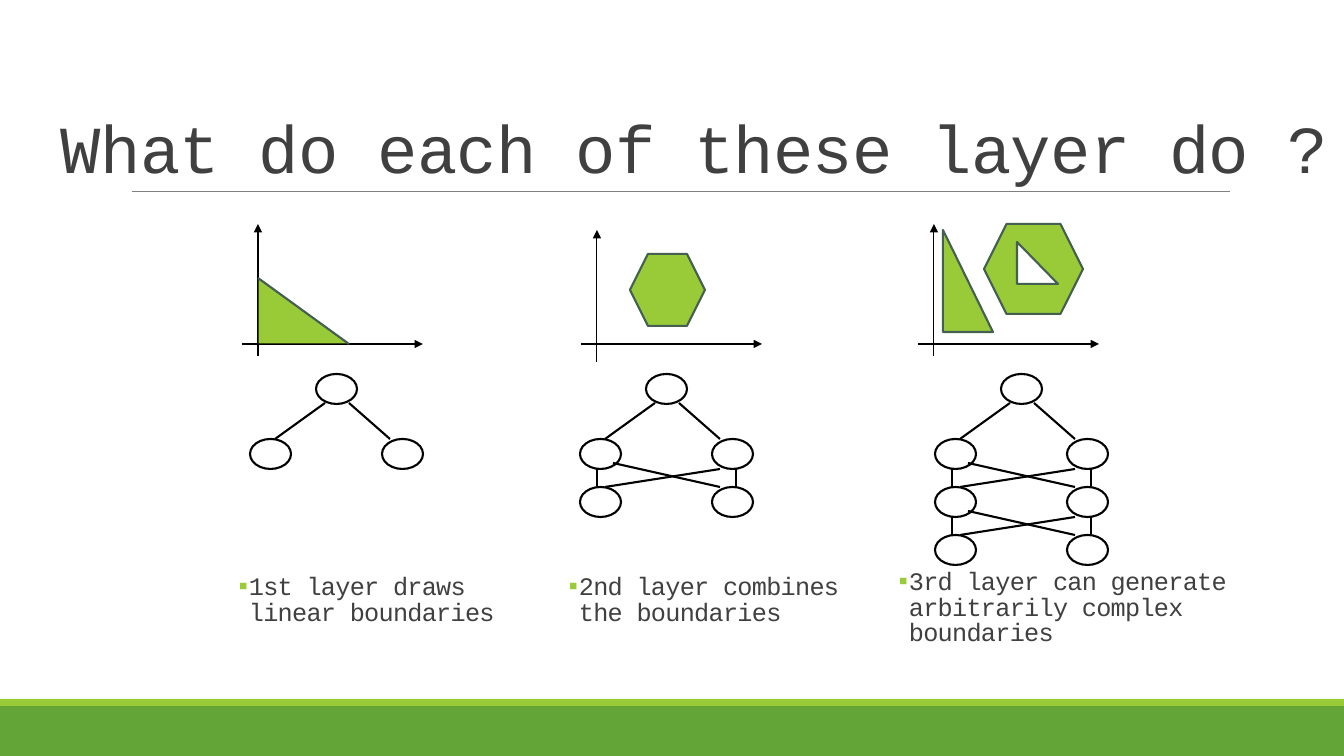
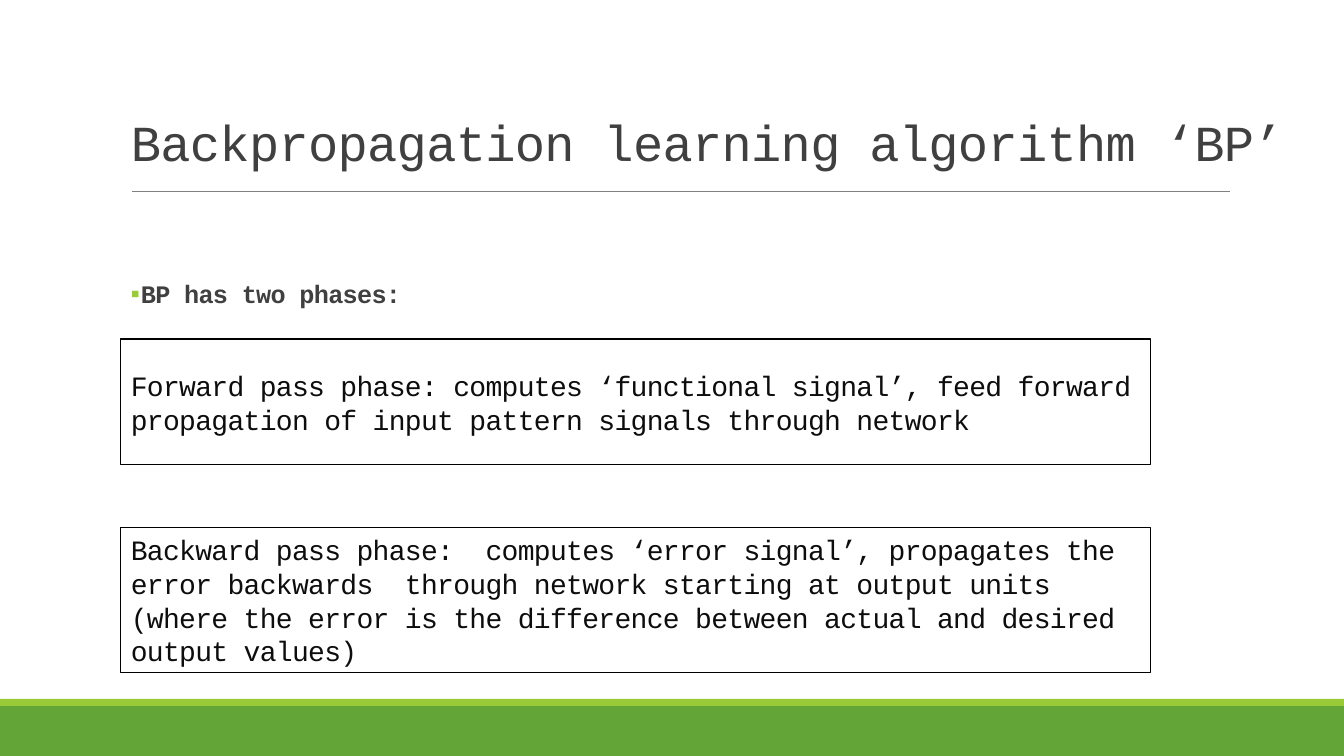
from lxml import etree
from pptx import Presentation
from pptx.dml.color import RGBColor
from pptx.enum.shapes import MSO_CONNECTOR, MSO_SHAPE
from pptx.enum.text import MSO_ANCHOR, PP_ALIGN
from pptx.oxml.ns import qn
from pptx.util import Emu, Inches, Pt

RECT, OVAL = MSO_SHAPE.RECTANGLE, MSO_SHAPE.OVAL
HEXAGON, TRIANGLE = MSO_SHAPE.HEXAGON, MSO_SHAPE.RIGHT_TRIANGLE
STRAIGHT = MSO_CONNECTOR.STRAIGHT
TOP, MIDDLE, BOTTOM = MSO_ANCHOR.TOP, MSO_ANCHOR.MIDDLE, MSO_ANCHOR.BOTTOM
LEFT = PP_ALIGN.LEFT

SLIDE_W, SLIDE_H = 1344, 756
SCALE = Inches(7.5) / SLIDE_H
FONT, BULLET_FONT = "Courier New", "Calibri"
GREEN, LIME, SLATE = "63A537", "99CB38", "455F51"
TEXT, BODY, BLACK, WHITE, RULE = "404040", "0D0D0D", "000000", "FFFFFF", "808080"

NODE_W, NODE_H = 41, 30
NODE_SPAN, LAYER_STEP = 132, 48


def px(n):
    return Emu(round(n * SCALE))


def rgb(value):
    return RGBColor.from_string(value)


def add_shape(slide, kind, x, y, w, h, fill=None, line=None, weight=1.5):
    sp = slide.shapes.add_shape(kind, px(x), px(y), px(w), px(h))
    sp.shadow.inherit = False
    if fill:
        sp.fill.solid()
        sp.fill.fore_color.rgb = rgb(fill)
    else:
        sp.fill.background()
    if line:
        sp.line.color.rgb = rgb(line)
        sp.line.width = Pt(weight)
    else:
        sp.line.fill.background()
    return sp


def add_line(slide, x1, y1, x2, y2, color=BLACK, weight=1.5, arrow=False):
    cxn = slide.shapes.add_connector(STRAIGHT, px(x1), px(y1), px(x2), px(y2))
    cxn.line.color.rgb = rgb(color)
    cxn.line.width = Pt(weight)
    if arrow:
        etree.SubElement(cxn.line._get_or_add_ln(), qn("a:tailEnd"), type="triangle")
    etree.SubElement(cxn._element.spPr, qn("a:effectLst"))


def write(sp, lines, size, color, anchor=TOP, spacing=None, bold=False):
    """Fill a shape with one left-aligned paragraph per line of text."""
    tf = sp.text_frame
    tf.word_wrap = True
    tf.vertical_anchor = anchor
    for i, line in enumerate(lines):
        p = tf.add_paragraph() if i else tf.paragraphs[0]
        p.alignment = LEFT
        p.line_spacing = spacing
        p.font.name = FONT
        p.font.size = Pt(size)
        p.font.bold = bold
        p.font.color.rgb = rgb(color)
        r = p.add_run()
        r.text = line
        r._r.get_or_add_rPr().set("spc", "-50")


def add_title(slide, text, size, x, y, w):
    sp = slide.shapes.add_textbox(px(x), px(y), px(w), px(160))
    write(sp, [text], size, TEXT, BOTTOM, 0.85)


def add_bullet(slide, text, x, y, w, h, bold=False):
    sp = slide.shapes.add_textbox(px(x), px(y), px(w), px(h))
    write(sp, [text], 18, TEXT, spacing=0.85, bold=bold)
    p = sp.text_frame.paragraphs[0]
    p.space_after = Pt(2)
    pPr = p._p.get_or_add_pPr()
    pPr.set("marL", str(px(10)))
    pPr.set("indent", str(-px(10)))
    color = etree.Element(qn("a:buClr"))
    etree.SubElement(color, qn("a:srgbClr"), val=LIME)
    font = etree.Element(qn("a:buFont"), typeface=BULLET_FONT)
    char = etree.Element(qn("a:buChar"), char="▪")
    at = list(pPr).index(pPr.find(qn("a:defRPr")))
    pPr[at:at] = [color, font, char]


def new_slide(prs):
    """Add a blank slide with the shared bands and title rule."""
    slide = prs.slides.add_slide(prs.slide_layouts[6])
    add_shape(slide, RECT, 0, 706, SLIDE_W, 50, GREEN)
    add_shape(slide, RECT, 0, 699, SLIDE_W, 7, LIME)
    add_line(slide, 132, 191, 1230, 191, RULE, 0.5)
    return slide


def add_axes(slide, x, y, drop):
    """Draw axes crossing at x, y; drop is how far they reach below."""
    add_line(slide, x - 16, y, x + 165, y, weight=0.75, arrow=True)
    add_line(slide, x, y + drop, x, y + drop - 132, weight=0.75, arrow=True)


def add_network(slide, x, y, layers):
    """Draw one output node above the given number of two-node layers."""
    def node(left, top):
        add_shape(slide, OVAL, left, top, NODE_W, NODE_H, line=BLACK)

    node(x + NODE_SPAN // 2, y)
    for i in range(layers):
        top = y + 65 + i * LAYER_STEP
        node(x, top)
        node(x + NODE_SPAN, top)
        if i:
            links = [(25, 140, 18), (140, 33, 24), (17, 17, 18), (156, 156, 18)]
        else:
            links = [(25, 75, 36), (140, 99, 36)]
        for start, end, rise in links:
            add_line(slide, x + start, top, x + end, top - rise)


def draw_half_plane(slide, x, y):
    add_shape(slide, TRIANGLE, x, y - 66, 91, 66, LIME, BLACK, 0.75)
    add_line(slide, x, y - 66, x + 91, y, SLATE)


def draw_convex_region(slide, x, y):
    add_shape(slide, HEXAGON, x + 33, y - 90, 75, 72, LIME, SLATE)


def draw_complex_region(slide, x, y):
    add_shape(slide, HEXAGON, x + 50, y - 120, 99, 90, LIME, SLATE)
    add_shape(slide, TRIANGLE, x + 9, y - 114, 50, 102, LIME, SLATE)
    add_shape(slide, TRIANGLE, x + 83, y - 102, 41, 42, WHITE, SLATE)


def build_layers_slide(prs):
    slide = new_slide(prs)
    add_title(slide, "What do each of these layer do ?", 48, 51, 32, 1293)
    columns = [
        (draw_half_plane, 258, 12, 250,
         "1st layer draws linear boundaries", (229, 570, 282, 63)),
        (draw_convex_region, 597, 18, 580,
         "2nd layer combines the boundaries", (559, 570, 305, 126)),
        (draw_complex_region, 934, 12, 935,
         "3rd layer can generate arbitrarily complex boundaries", (889, 565, 355, 88)),
    ]
    for layers, (draw_region, plot_x, drop, net_x, text, box) in enumerate(columns, 1):
        add_axes(slide, plot_x, 344, drop)
        draw_region(slide, plot_x, 344)
        add_network(slide, net_x, 374, layers)
        add_bullet(slide, text, *box)


def build_phases_slide(prs):
    slide = new_slide(prs)
    add_title(slide, "Backpropagation learning algorithm ‘BP’", 36, 121, 17, 1185)
    add_bullet(slide, "BP has two phases:", 121, 278, 310, 36, bold=True)
    phases = [
        (339, 126, ["Forward pass phase: computes ‘functional signal’, feed forward",
                    "propagation of input pattern signals through network"]),
        (527, 146, ["Backward pass phase:  computes ‘error signal’, propagates the "
                    "error backwards  through network starting at output units "
                    "(where the error is the difference between actual and desired",
                    "output values)"]),
    ]
    for y, h, lines in phases:
        sp = add_shape(slide, RECT, 121, y, 1030, h, line=BLACK, weight=0.75)
        write(sp, lines, 20, BODY, MIDDLE)


def main():
    prs = Presentation()
    prs.slide_width, prs.slide_height = px(SLIDE_W), px(SLIDE_H)
    build_layers_slide(prs)
    build_phases_slide(prs)
    prs.save("out.pptx")


if __name__ == "__main__":
    main()
